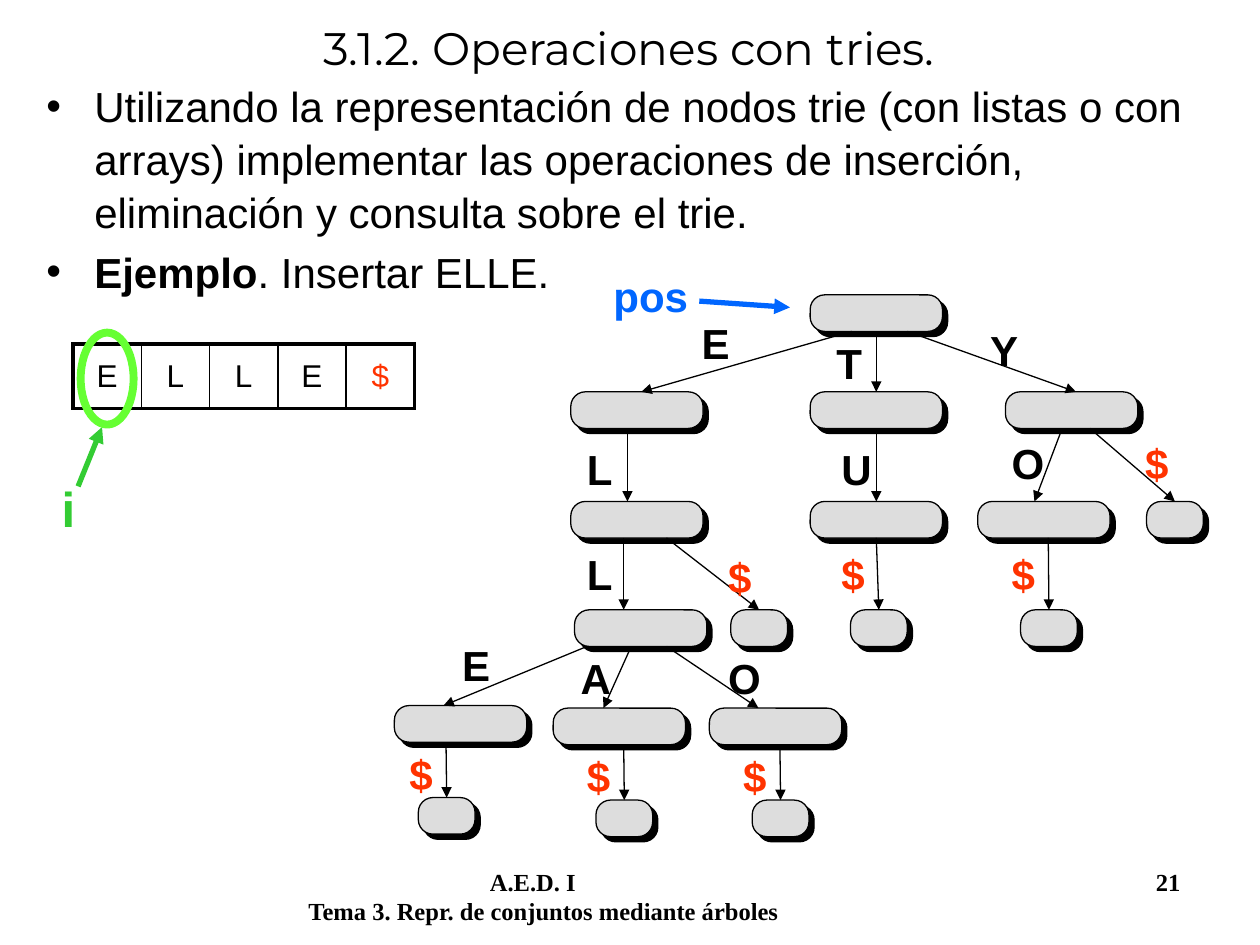
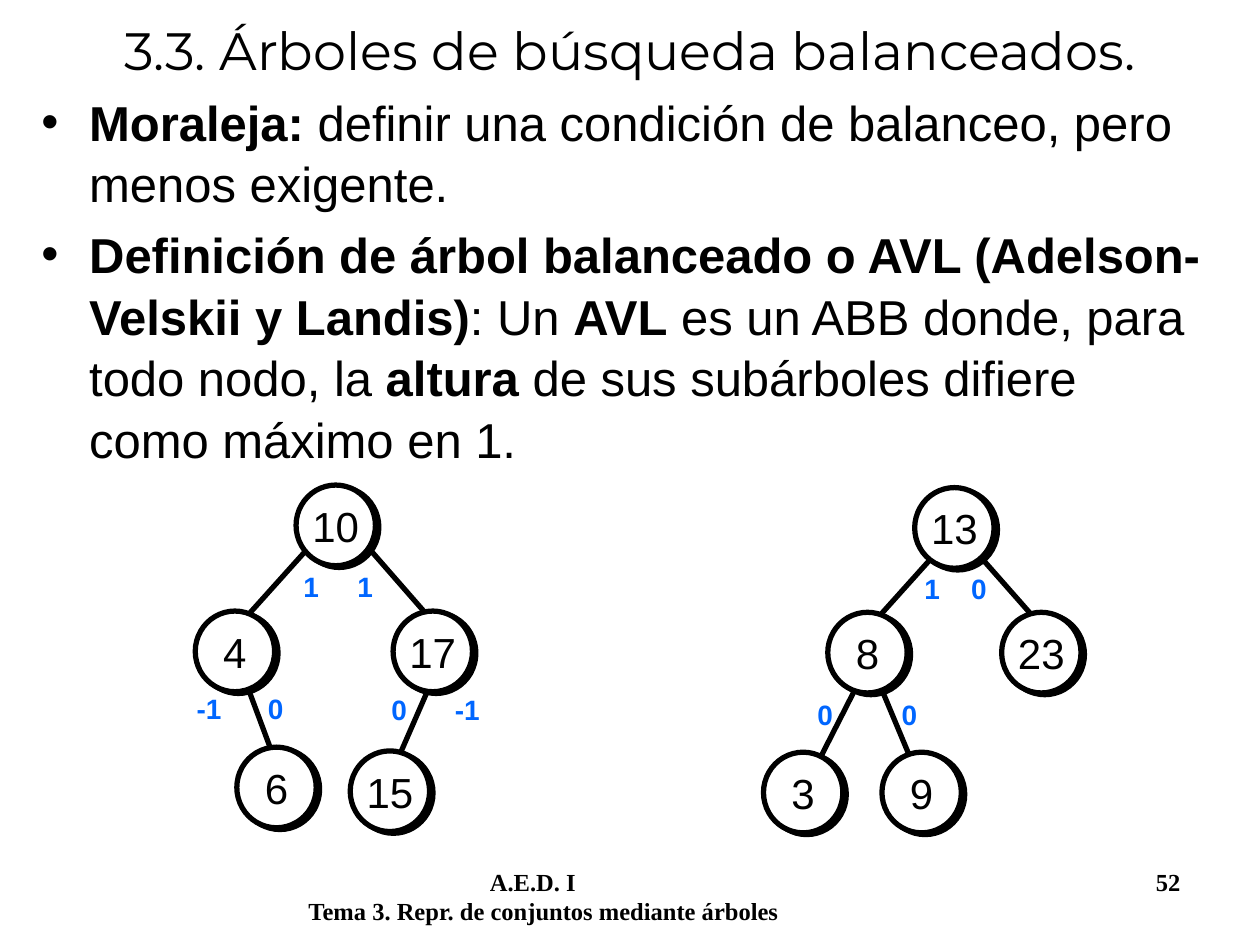
from lxml.etree import SubElement
from pptx import Presentation
from pptx.dml.color import RGBColor
from pptx.enum.shapes import MSO_CONNECTOR as CONN, MSO_SHAPE as SHAPE
from pptx.enum.text import MSO_ANCHOR as ANCHOR, MSO_AUTO_SIZE as AUTO, PP_ALIGN as ALIGN
from pptx.oxml.ns import qn
from pptx.util import Inches, Pt

COLORS = {
    "black": "000000", "white": "FFFFFF", "node": "DDDDDD", "end": "FF3300",
    "blue": "0066FF", "green": "33CC33", "ring": "66FF33",
}
COURSE = "A.E.D. I"
TOPIC = "Tema 3. Repr. de conjuntos mediante árboles"

TRIES = {
    "title": "3.1.2. Operaciones con tries.", "title_box": (0.33, 0, 9.33, 0.75),
    "title_size": 26, "page": 21,
    "body_box": (0.27, 0.57, 9.45, 2.27), "body_size": 24, "gap": 4,
    "body": [
        [("Utilizando la representación de nodos trie (con listas o con arrays) "
          "implementar las operaciones de inserción, eliminación y consulta sobre el trie.", False)],
        [("Ejemplo", True), (". Insertar ELLE.", False)],
    ],
}
BALANCED = {
    "title": "3.3. Árboles de búsqueda balanceados.", "title_box": (0, 0, 10, 0.79),
    "title_size": 30, "page": 52,
    "body_box": (0.23, 0.66, 9.47, 3.2), "body_size": 28, "gap": 5,
    "body": [
        [("Moraleja:", True),
         (" definir una condición de balanceo, pero menos exigente.", False)],
        [("Definición de árbol balanceado o AVL (Adelson-Velskii y Landis)", True),
         (": Un ", False), ("AVL", True),
         (" es un ABB donde, para todo nodo, la ", False), ("altura", True),
         (" de sus subárboles difiere como máximo en 1.", False)],
    ],
}

# prefix: node left, top; edge start x, end x (None = middle of side); label left, top
TRIE = {
    "": (6.43, 2.34, None, None, None, None),
    "E": (4.53, 3.11, 6.76, 5.09, 5.47, 2.47),
    "T": (6.43, 3.11, None, None, 6.54, 2.63),
    "Y": (7.98, 3.11, 7.2, 8.54, 7.76, 2.53),
    "EL": (4.53, 3.98, 4.98, 4.98, 4.56, 3.47),
    "TU": (6.43, 3.98, None, None, 6.58, 3.47),
    "YO": (7.76, 3.98, 8.43, 8.21, 7.93, 3.42),
    "Y$": (9.1, 3.98, 8.65, None, 8.99, 3.42),
    "ELL": (4.56, 4.84, 4.95, 4.95, 4.56, 4.3),
    "EL$": (5.8, 4.84, 5.29, None, 5.68, 4.33),
    "TU$": (6.75, 4.84, None, None, 6.58, 4.3),
    "YO$": (8.1, 4.84, 8.32, None, 7.93, 4.3),
    "ELLE": (3.13, 5.6, 4.66, 3.52, 3.57, 5.03),
    "ELLA": (4.39, 5.62, 5.01, 4.79, 4.51, 5.13),
    "ELLO": (5.63, 5.62, 5.29, 6.02, 5.68, 5.13),
    "ELLE$": (3.32, 6.33, 3.54, None, 3.15, 5.89),
    "ELLA$": (4.73, 6.35, 4.95, None, 4.56, 5.91),
    "ELLO$": (5.97, 6.35, 6.19, None, 5.8, 5.91),
}
NODE_W, LEAF_W, NODE_H = 1.05, 0.45, 0.29
WORD = "ELLE$"

AVL_EDGES = [
    (2.59, 4.19, 1.79, 5.08), (1.86, 5.17, 2.27, 6.27),
    (2.76, 4.16, 3.66, 5.19), (3.53, 5.17, 3.02, 6.34),
    (6.92, 5.21, 6.37, 6.29), (7.59, 4.21, 6.79, 5.1),
    (6.88, 5.19, 7.34, 6.29), (7.57, 4.18, 8.47, 5.2),
]
AVL_NODES = [
    (10, 2.35, 3.85), (4, 1.55, 4.85), (17, 3.12, 4.85), (15, 2.78, 5.96), (6, 1.88, 5.93),
    (13, 7.26, 3.87), (8, 6.57, 4.86), (23, 7.95, 4.86), (9, 7, 5.97), (3, 6.06, 5.97),
]
HEIGHTS = [
    (1.74, 4.47, 1.89, [("1", 2.47), ("1", 2.9)]),
    (1.14, 5.44, 1.53, [("-1", 1.66), ("0", 2.19)]),
    (2.69, 5.45, 1.53, [("0", 3.17), ("-1", 3.71)]),
    (6.12, 5.49, 1.53, [("0", 6.55), ("0", 7.22)]),
    (6.82, 4.49, 1.53, [("1", 7.4), ("0", 7.77)]),
]


def rgb(name):
    return RGBColor.from_string(COLORS[name])


def inches(*values):
    return [Inches(v) for v in values]


def write(p, text, size=24, color="black", bold=False, font="Arial", align=None):
    if align is not None:
        p.alignment = align
    r = p.add_run()
    r.text = text
    r.font.size, r.font.bold, r.font.name = Pt(size), bold, font
    r.font.color.rgb = rgb(color)


def add_box(s, *box):
    tf = s.shapes.add_textbox(*inches(*box)).text_frame
    tf.word_wrap = True
    return tf


def add_label(s, text, *box, **style):
    write(add_box(s, *box).paragraphs[0], text, **style)


def set_tabs(p, stops):
    tabs = SubElement(p._p.get_or_add_pPr(), qn("a:tabLst"))
    for pos, kind in stops:
        SubElement(tabs, qn("a:tab"), pos=str(Inches(pos)), algn=kind)


def add_line(s, x1, y1, x2, y2, color="black", width=0.75, arrow=True):
    line = s.shapes.add_connector(CONN.STRAIGHT, *inches(x1, y1, x2, y2))
    line.line.color.rgb = rgb(color)
    line.line.width = Pt(width)
    props = line._element.spPr
    if arrow:
        SubElement(props.find(qn("a:ln")), qn("a:tailEnd"), type="triangle")
    SubElement(props, qn("a:effectLst"))
    return line


def add_node(s, kind, box, fill=None, line="black", width=0.75, shadow=None):
    sp = s.shapes.add_shape(kind, *inches(*box))
    if fill:
        sp.fill.solid()
        sp.fill.fore_color.rgb = rgb(fill)
    else:
        sp.fill.background()
    sp.line.color.rgb = rgb(line)
    sp.line.width = Pt(width)
    sp.shadow.inherit = False
    if shadow:
        dist, angle = shadow
        effects = sp._element.spPr.find(qn("a:effectLst"))
        outer = SubElement(effects, qn("a:outerShdw"), dist=str(Pt(dist)),
                           dir=str(angle * 60000), algn="ctr", rotWithShape="0")
        SubElement(outer, qn("a:srgbClr"), val=COLORS["black"])
    return sp


def add_slide(prs, content):
    s = prs.slides.add_slide(prs.slide_layouts[5])
    footer = add_box(s, 2.35, 6.83, 7.4, 0.5)
    p = footer.paragraphs[0]
    set_tabs(p, [(1.44, "l"), (6.92, "r")])
    style = {"size": 14, "bold": True, "font": "Times New Roman"}
    write(p, f"\t{COURSE}\t{content['page']}", **style)
    write(footer.add_paragraph(), TOPIC, **style)

    title = s.shapes.title
    title.left, title.top, title.width, title.height = inches(*content["title_box"])
    tf = title.text_frame
    tf.auto_size, tf.vertical_anchor = AUTO.NONE, ANCHOR.MIDDLE
    write(tf.paragraphs[0], content["title"], size=content["title_size"],
          font="Montserrat", align=ALIGN.CENTER)

    tf = add_box(s, *content["body_box"])
    for i, runs in enumerate(content["body"]):
        p = tf.add_paragraph() if i else tf.paragraphs[0]
        props = p._p.get_or_add_pPr()
        props.set("marL", str(Inches(0.38)))
        props.set("indent", str(Inches(-0.38)))
        SubElement(props, qn("a:buFont"), typeface="Arial")
        SubElement(props, qn("a:buChar"), char="•")
        p.line_spacing = 1.05
        if i:
            p.space_before = Pt(content["gap"])
        for text, bold in runs:
            write(p, text, size=content["body_size"], bold=bold)
    return s


def letter_color(letter):
    return "end" if letter == "$" else "black"


def add_trie(s):
    nodes = {}
    for prefix, (left, top, *_) in TRIE.items():
        width = LEAF_W if prefix.endswith("$") else NODE_W
        nodes[prefix] = add_node(s, SHAPE.ROUNDED_RECTANGLE, (left, top, width, NODE_H),
                                 fill="node", shadow=(4.2, 45))
        nodes[prefix].adjustments[0] = 0.4
    for prefix, (_, top, x1, x2, label_x, label_y) in TRIE.items():
        if not prefix:
            continue
        parent, letter = prefix[:-1], prefix[-1]
        line = add_line(s, x1 or 0, TRIE[parent][1] + NODE_H, x2 or 0, top)
        if x1 is None:
            line.begin_connect(nodes[parent], 2)
        if x2 is None:
            line.end_connect(nodes[prefix], 0)
        add_label(s, letter, label_x, label_y, 0.67, 0.39, color=letter_color(letter), bold=True)


def add_word(s):
    n = len(WORD)
    table = s.shapes.add_table(1, n, *inches(0.58, 2.73, 2.71, 0.51)).table
    table.first_row = table.horz_banding = False
    for i, letter in enumerate(WORD):
        table.columns[i].width = Inches(2.71 / n)
        cell = table.cell(0, i)
        props = cell._tc.get_or_add_tcPr()
        widths = {"lnL": 1 if i else 2.25, "lnR": 1 if i < n - 1 else 2.25,
                  "lnT": 2.25, "lnB": 2.25}
        for side, width in widths.items():
            ln = SubElement(props, qn(f"a:{side}"), w=str(Pt(width)))
            SubElement(SubElement(ln, qn("a:solidFill")), qn("a:srgbClr"), val=COLORS["black"])
        cell.fill.background()
        cell.vertical_anchor = ANCHOR.MIDDLE
        write(cell.text_frame.paragraphs[0], letter, size=18, color=letter_color(letter),
              align=ALIGN.CENTER)


def add_avl(s):
    for edge in AVL_EDGES:
        add_line(s, *edge, width=3, arrow=False)
    for value, left, top in AVL_NODES:
        sp = add_node(s, SHAPE.OVAL, (left, top, 0.63, 0.64), fill="white", width=3,
                      shadow=(2.2, 27))
        tf = sp.text_frame
        tf.word_wrap = False
        tf.vertical_anchor = ANCHOR.MIDDLE
        tf.margin_left = tf.margin_right = Inches(0.02)
        tf.margin_top = tf.margin_bottom = Inches(0.01)
        write(tf.paragraphs[0], str(value), align=ALIGN.CENTER)
    for left, top, width, marks in HEIGHTS:
        p = add_box(s, left, top, width, 0.77).paragraphs[0]
        set_tabs(p, [(x - left - 0.1, "ctr") for _, x in marks])
        write(p, "".join(f"\t{mark}" for mark, _ in marks), size=16, color="blue",
              bold=True, align=ALIGN.LEFT)


def main():
    prs = Presentation()
    prs.slide_width, prs.slide_height = inches(10, 7.5)

    s = add_slide(prs, TRIES)
    add_trie(s)
    add_word(s)
    add_label(s, "i", 0.39, 3.75, 0.47, 0.57, size=28, color="green", bold=True)
    add_line(s, 0.62, 3.86, 0.81, 3.39, color="green", width=3)
    add_label(s, "pos", 4.77, 2.1, 0.84, 0.5, color="blue", bold=True)
    add_line(s, 5.55, 2.39, 6.27, 2.44, color="blue", width=3)
    add_node(s, SHAPE.OVAL, (0.64, 2.64, 0.42, 0.73), line="ring", width=4.5)

    add_avl(add_slide(prs, BALANCED))
    prs.save("out.pptx")


if __name__ == "__main__":
    main()
